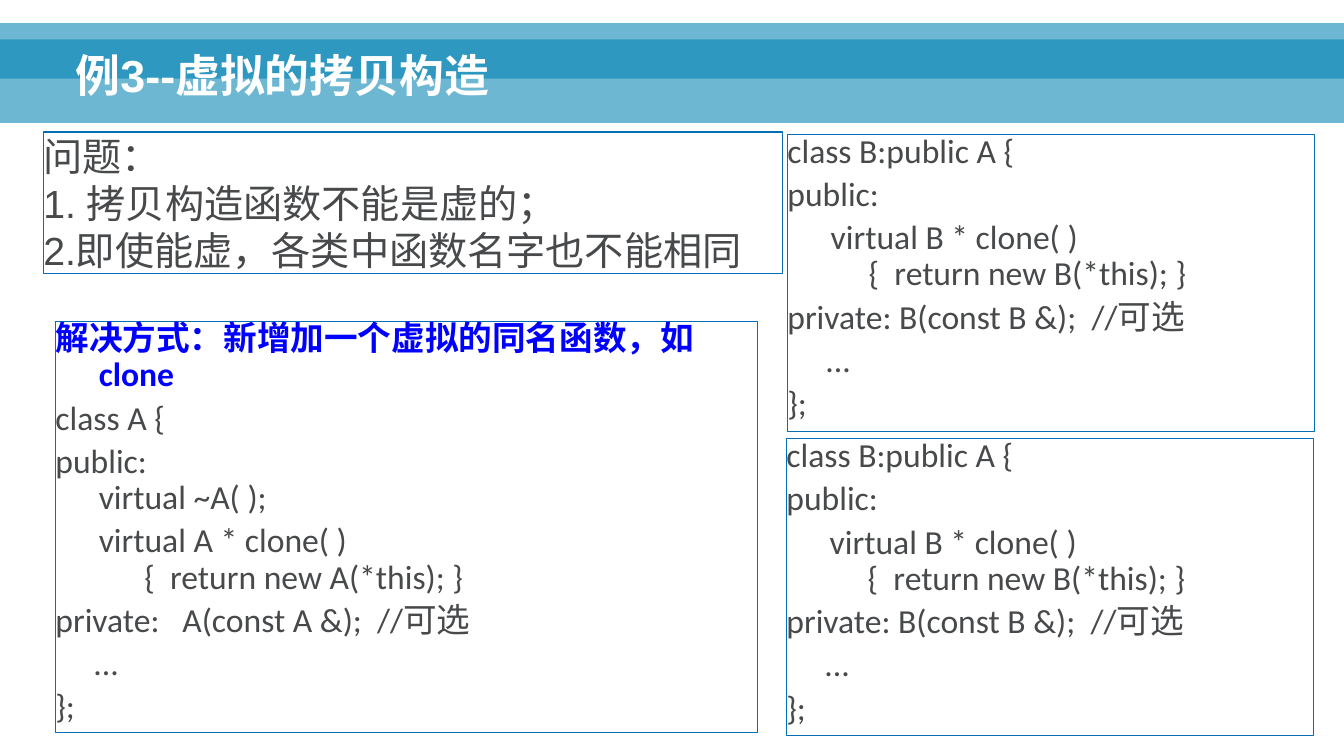
from dataclasses import dataclass

from lxml import etree
from pptx import Presentation
from pptx.dml.color import RGBColor
from pptx.enum.shapes import MSO_SHAPE
from pptx.enum.text import MSO_ANCHOR, MSO_AUTO_SIZE, PP_ALIGN
from pptx.oxml.ns import qn
from pptx.util import Inches, Pt

RECTANGLE = MSO_SHAPE.RECTANGLE
LEFT = PP_ALIGN.LEFT
TOP, BOTTOM = MSO_ANCHOR.TOP, MSO_ANCHOR.BOTTOM
NO_FIT, GROW = MSO_AUTO_SIZE.NONE, MSO_AUTO_SIZE.SHAPE_TO_FIT_TEXT


@dataclass(frozen=True)
class Theme:
    white: RGBColor = RGBColor.from_string("FFFFFF")
    band: RGBColor = RGBColor.from_string("0082B3")
    border: RGBColor = RGBColor.from_string("046FB6")
    ink: RGBColor = RGBColor.from_string("47494B")
    accent: RGBColor = RGBColor.from_string("0000FF")
    heading_font: str = "Arial"
    code_font: str = "Calibri"
    title_size: Pt = Pt(32)
    problem_size: Pt = Pt(28)
    code_size: Pt = Pt(24)


theme = Theme()


def add_rectangle(left, top, width, height):
    box = page.shapes.add_shape(
        RECTANGLE, Inches(left), Inches(top), Inches(width), Inches(height))
    box.shadow.inherit = False
    return box


def add_framed_text(place, paragraphs, font_name, size, hanging=0):
    box = add_rectangle(*place)
    box.fill.background()
    box.line.color.rgb = theme.border
    box.line.width = Pt(0.75)
    frame = box.text_frame
    frame.word_wrap = True
    frame.auto_size = GROW
    frame.vertical_anchor = TOP
    frame.margin_left = frame.margin_top = 0
    frame.margin_right = frame.margin_bottom = 0
    for index, text in enumerate(paragraphs):
        para = frame.paragraphs[0] if index == 0 else frame.add_paragraph()
        para.text = text
        para.alignment = LEFT
        if hanging:
            properties = para._p.get_or_add_pPr()
            properties.set("marL", str(Inches(hanging)))
            properties.set("indent", str(-Inches(hanging)))
            para.line_spacing = 0.9
            if index:
                para.space_before = Pt(5)
        para.font.name = font_name
        para.font.size = size
        para.font.color.rgb = theme.ink
    return box


deck = Presentation()
deck.slide_width, deck.slide_height = Inches(13.33), Inches(7.5)
page = deck.slides.add_slide(deck.slide_layouts[5])

# Title
title = page.shapes.title
title.left, title.top = Inches(0.65), Inches(0.19)
title.width, title.height = Inches(11.98), Inches(0.87)
title.text_frame.auto_size = NO_FIT
title.text_frame.vertical_anchor = BOTTOM
heading = title.text_frame.paragraphs[0]
heading.text = "例3--虚拟的拷贝构造"
heading.alignment = LEFT
heading.line_spacing = 0.9
heading.font.name = theme.heading_font
heading.font.size = theme.title_size
heading.font.bold = True
heading.font.color.rgb = theme.white

# Two overlapping translucent bands behind the title
for top, height in ((0.39, 0.83), (0.23, 0.55)):
    band = add_rectangle(0, top, 13.33, height)
    band.fill.solid()
    band.fill.fore_color.rgb = theme.band
    band.line.fill.background()
    color = band.element.spPr.find(qn("a:solidFill"))[0]
    etree.SubElement(color, qn("a:alpha"), val="57000")
    title.element.addprevious(band.element)

# Problem statement
problem = add_framed_text(
    (0.43, 1.31, 7.33, 1.4),
    ["问题：\n1. 拷贝构造函数不能是虚的；", "2.即使能虚，各类中函数名字也不能相同"],
    theme.heading_font, theme.problem_size)
problem.fill.solid()
problem.fill.fore_color.rgb = theme.white

# Solution with the base class
solution = add_framed_text(
    (0.55, 3.19, 6.96, 4.08),
    ["解决方式：新增加一个虚拟的同名函数，如clone",
     "class A {",
     "public:\nvirtual ~A( );",
     "\tvirtual A * clone( )\n      {  return new A(*this); }",
     "private:   A(const A &);  //可选",
     "     ...",
     "};"],
    theme.code_font, theme.code_size, hanging=0.43)
lead = solution.text_frame.paragraphs[0]
lead.font.bold = True
lead.font.color.rgb = theme.accent

# Derived class, shown twice
derived_class = [
    "class B:public A {",
    "public:",
    "\tvirtual B * clone( )\n     {  return new B(*this); }",
    "private: B(const B &);  //可选",
    "     ...",
    "};"]
for left, top in ((7.81, 1.33), (7.8, 4.35)):
    add_framed_text((left, top, 5.23, 2.95), derived_class,
                    theme.code_font, theme.code_size, hanging=0.43)

deck.save("out.pptx")
